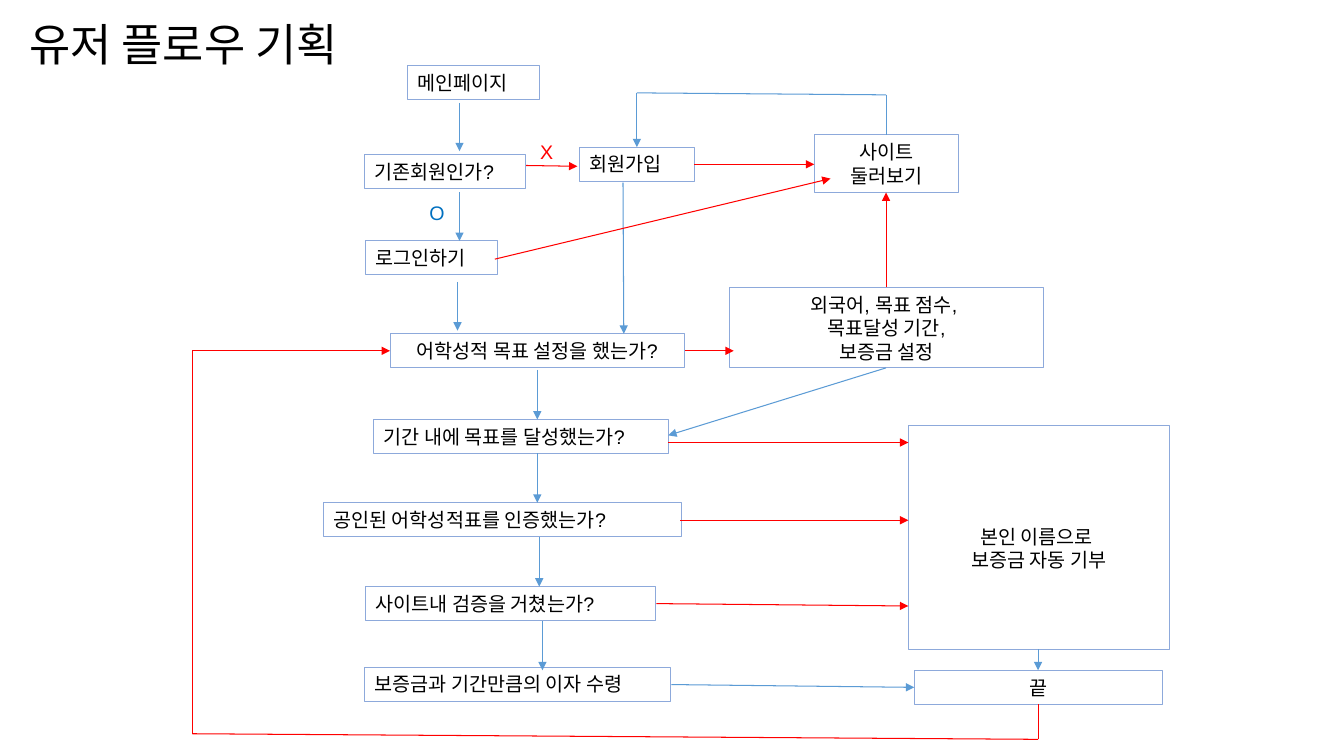
from itertools import pairwise

from lxml import etree
from pptx import Presentation
from pptx import util as u
from pptx.dml.color import RGBColor
from pptx.enum import shapes, text
from pptx.oxml.ns import qn

BLACK, RED, BLUE = "000000", "FF0000", "5B9BD5"
OUTLINE, YES_BLUE = "8DA9DB", "0070C0"
ROW = 0.86  # height of a one-line box, cm


def color(code):
    return RGBColor.from_string(code)


class FlowPage:
    font = "Arial"
    size = 14
    line_width = u.Pt(0.75)

    def __init__(self, deck):
        self.page = deck.slides.add_slide(deck.slide_layouts[5])

    def fill_text(self, frame, lines, align, size=None, ink=BLACK):
        frame.word_wrap = True
        for number, line in enumerate(lines):
            para = frame.paragraphs[0] if number == 0 else frame.add_paragraph()
            para.alignment = align
            span = para.add_run()
            span.text = line
            span.font.name = self.font
            span.font.size = u.Pt(size or self.size)
            span.font.color.rgb = color(ink)

    def title(self, words, left, top, width, height):
        box = self.page.shapes.title
        box.left, box.top = u.Cm(left), u.Cm(top)
        box.width, box.height = u.Cm(width), u.Cm(height)
        frame = box.text_frame
        frame.vertical_anchor = text.MSO_ANCHOR.MIDDLE
        frame.auto_size = text.MSO_AUTO_SIZE.NONE
        self.fill_text(frame, [words], text.PP_ALIGN.LEFT, size=32)
        frame.paragraphs[0].line_spacing = 0.9

    def step(self, lines, left, top, width, height=ROW, centered=False, inset=0.13):
        box = self.page.shapes.add_shape(
            shapes.MSO_SHAPE.RECTANGLE, u.Cm(left), u.Cm(top), u.Cm(width), u.Cm(height))
        box.shadow.inherit = False
        box.fill.background()
        box.line.color.rgb = color(OUTLINE)
        box.line.width = self.line_width
        frame = box.text_frame
        frame.vertical_anchor = text.MSO_ANCHOR.TOP
        frame.margin_top = u.Cm(inset)
        align = text.PP_ALIGN.CENTER if centered else text.PP_ALIGN.LEFT
        self.fill_text(frame, lines, align)

    def label(self, words, left, top, ink):
        box = self.page.shapes.add_textbox(u.Cm(left), u.Cm(top), u.Cm(0.84), u.Cm(ROW))
        self.fill_text(box.text_frame, [words], text.PP_ALIGN.LEFT, ink=ink)

    def route(self, ink, *points):
        """Straight segments through the points, with an arrowhead at the end."""
        for start, end in pairwise(points):
            line = self.page.shapes.add_connector(
                shapes.MSO_CONNECTOR.STRAIGHT, *(u.Cm(value) for value in start + end))
            line.line.color.rgb = color(ink)
            line.line.width = self.line_width
            props = line._element.spPr
            if end == points[-1]:
                etree.SubElement(props.find(qn("a:ln")), qn("a:tailEnd"), type="triangle")
            etree.SubElement(props, qn("a:effectLst"))


def main():
    deck = Presentation()
    deck.slide_width, deck.slide_height = u.Cm(33.87), u.Cm(19.05)
    flow = FlowPage(deck)
    flow.title("유저 플로우 기획", 0.48, -0.03, 29.21, 2.44)

    # Left-aligned steps: text, left, top, width
    for words, left, top, width in [
        ("메인페이지", 10.26, 1.65, 3.33),
        ("회원가입", 14.6, 3.71, 2.9),
        ("기존회원인가?", 9.19, 3.89, 4.06),
        ("로그인하기", 9.22, 6.07, 3.33),
        ("기간 내에 목표를 달성했는가?", 9.42, 10.57, 7.42),
        ("공인된 어학성적표를 인증했는가?", 8.15, 12.67, 9.02),
        ("사이트내 검증을 거쳤는가?", 9.22, 14.78, 7.29),
        ("보증금과 기간만큼의 이자 수령", 9.19, 16.81, 7.72),
    ]:
        flow.step([words], left, top, width)

    # Centred steps
    flow.step(["사이트 둘러보기"], 20.52, 3.4, 3.63, 1.45, centered=True)
    flow.step(["어학성적 목표 설정을 했는가?"], 9.83, 8.41, 7.42, centered=True)
    flow.step(["외국어, 목표 점수, ", "목표달성 기간,", "보증금 설정"],
              18.39, 7.24, 7.9, 2.03, centered=True)
    flow.step(["본인 이름으로 ", "보증금 자동 기부"],
              22.89, 10.72, 6.58, 5.64, centered=True, inset=2.5)
    flow.step(["끝"], 23.04, 16.89, 6.27, centered=True)

    # Answers
    flow.label("O", 10.57, 4.93, YES_BLUE)
    flow.label("X", 13.36, 3.4, RED)

    # Downward arrows: x, top, bottom
    for x, top, bottom in [
        (11.58, 2.59, 3.81), (11.58, 4.85, 6.07), (11.53, 7.1, 8.33),
        (13.54, 9.32, 10.57), (13.54, 11.42, 12.67), (13.59, 13.54, 14.78),
        (13.67, 15.65, 16.89), (26.16, 16.36, 16.89),
    ]:
        flow.route(BLUE, (x, top), (x, bottom))

    # Other blue routes
    flow.route(BLUE, (15.7, 4.6), (15.72, 8.41))
    flow.route(BLUE, (22.33, 9.27), (16.84, 10.97))
    flow.route(BLUE, (16.92, 17.25), (23.04, 17.32))
    flow.route(BLUE, (22.33, 3.4), (22.33, 2.39), (16.05, 2.34), (16.05, 3.71))

    # Red routes
    flow.route(RED, (13.26, 4.17), (14.55, 4.19))
    flow.route(RED, (17.5, 4.14), (20.52, 4.14))
    flow.route(RED, (12.47, 6.53), (20.93, 4.5))
    flow.route(RED, (17.27, 8.84), (18.49, 8.84))
    flow.route(RED, (22.33, 7.24), (22.33, 4.85))
    flow.route(RED, (16.84, 11.15), (22.89, 11.15))
    flow.route(RED, (17.15, 13.11), (22.89, 13.11))
    flow.route(RED, (16.54, 15.21), (22.89, 15.27))
    flow.route(RED, (26.16, 17.75), (26.16, 18.63), (4.85, 18.49),
               (4.85, 8.84), (9.83, 8.84))

    deck.save("out.pptx")


if __name__ == "__main__":
    main()
